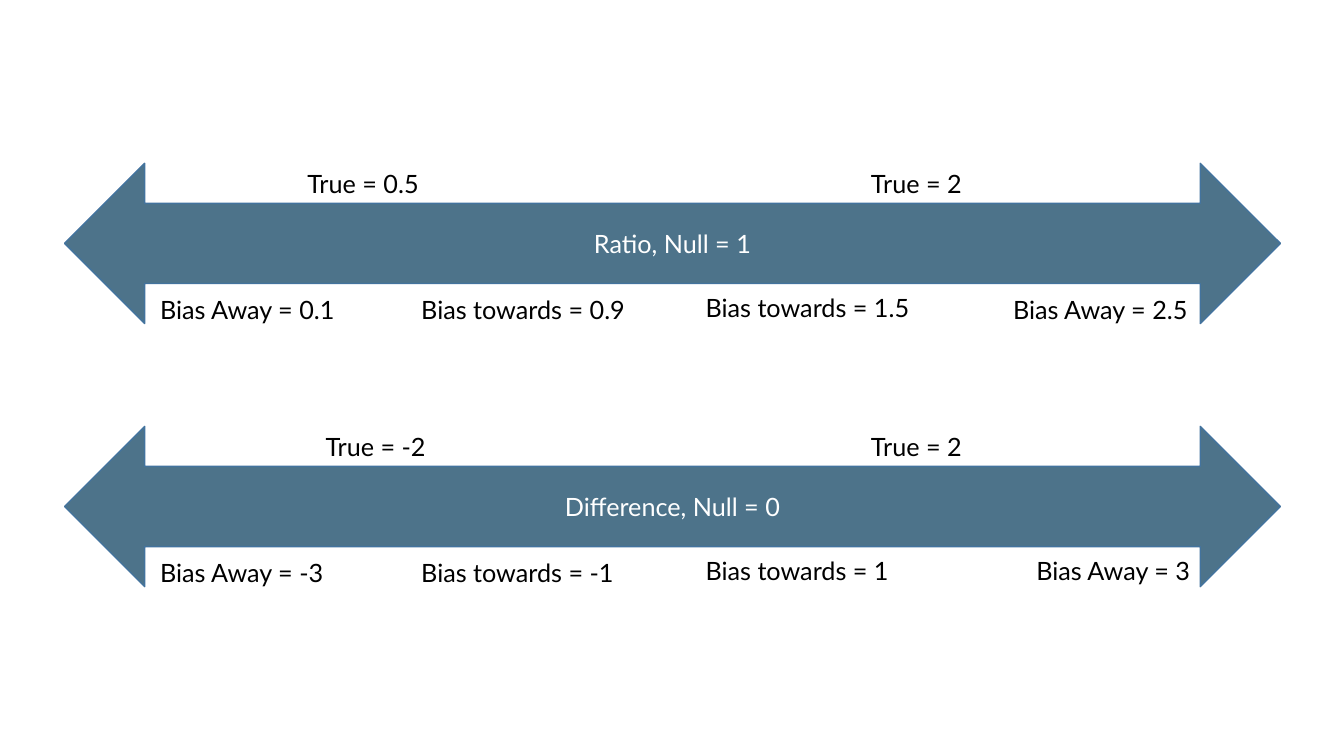
from dataclasses import dataclass

from pptx import Presentation
from pptx.dml.color import RGBColor
from pptx.enum.shapes import MSO_SHAPE
from pptx.enum.text import MSO_ANCHOR, MSO_AUTO_SIZE, PP_ALIGN
from pptx.util import Inches, Pt

# Each label: text, left edge, distance below the top of its arrow, width
SCALES = [
    ("Ratio, Null = 1", [
        ("True = 2", 8.54, 0, 1.28),
        ("Bias towards = 1.5", 6.9, 1.23, 2.36),
        ("Bias Away = 2.5", 9.95, 1.25, 2.36),
        ("True = 0.5", 2.95, 0, 1.4),
        ("Bias towards = 0.9", 4.08, 1.25, 2.36),
        ("Bias Away = 0.1", 1.49, 1.25, 2.36),
    ]),
    ("Difference, Null = 0", [
        ("True = 2", 8.54, 0, 1.28),
        ("Bias towards = 1", 6.9, 1.23, 2.36),
        ("Bias Away = 3", 10.18, 1.23, 2.36),
        ("True = -2", 3.13, 0, 1.22),
        ("Bias towards = -1", 4.08, 1.25, 2.36),
        ("Bias Away = -3", 1.49, 1.25, 2.36),
    ]),
]

ARROW_LEFT, ARROW_WIDTH, ARROW_HEIGHT = 0.64, 12.06, 1.59
FIRST_TOP, SCALE_STEP = 1.62, 2.61
LABEL_HEIGHT = 0.4


@dataclass(frozen=True)
class Theme:
    font: str = "Lato"
    size: Pt = Pt(18)
    line_width: Pt = Pt(1)
    arrow_fill: RGBColor = RGBColor(0x4D, 0x73, 0x8A)
    arrow_line: RGBColor = RGBColor(0x43, 0x73, 0x9E)
    arrow_text: RGBColor = RGBColor(0xFF, 0xFF, 0xFF)
    label_text: RGBColor = RGBColor(0x00, 0x00, 0x00)


THEME = Theme()


def write(frame, text, color, align):
    frame.text = text
    frame.word_wrap = True
    paragraph = frame.paragraphs[0]
    paragraph.alignment = align
    font = paragraph.runs[0].font
    font.name, font.size = THEME.font, THEME.size
    font.color.rgb = color


def add_arrow(shapes, title, top):
    arrow = shapes.add_shape(
        MSO_SHAPE.LEFT_RIGHT_ARROW, Inches(ARROW_LEFT), Inches(top),
        Inches(ARROW_WIDTH), Inches(ARROW_HEIGHT))
    arrow.shadow.inherit = False
    arrow.fill.solid()
    arrow.fill.fore_color.rgb = THEME.arrow_fill
    arrow.line.color.rgb = THEME.arrow_line
    arrow.line.width = THEME.line_width
    arrow.text_frame.vertical_anchor = MSO_ANCHOR.MIDDLE
    write(arrow.text_frame, title, THEME.arrow_text, PP_ALIGN.CENTER)


def add_label(shapes, text, left, top, width):
    label = shapes.add_textbox(
        Inches(left), Inches(top), Inches(width), Inches(LABEL_HEIGHT))
    write(label.text_frame, text, THEME.label_text, PP_ALIGN.LEFT)
    label.text_frame.auto_size = MSO_AUTO_SIZE.SHAPE_TO_FIT_TEXT


def main():
    deck = Presentation()
    deck.slide_width, deck.slide_height = Inches(13.33), Inches(7.5)
    slide = deck.slides.add_slide(deck.slide_layouts[6])
    for row, (title, labels) in enumerate(SCALES):
        top = FIRST_TOP + row * SCALE_STEP
        scale = slide.shapes.add_group_shape()
        add_arrow(scale.shapes, title, top)
        for text, left, drop, width in labels:
            add_label(scale.shapes, text, left, top + drop, width)
    deck.save("out.pptx")


if __name__ == "__main__":
    main()
